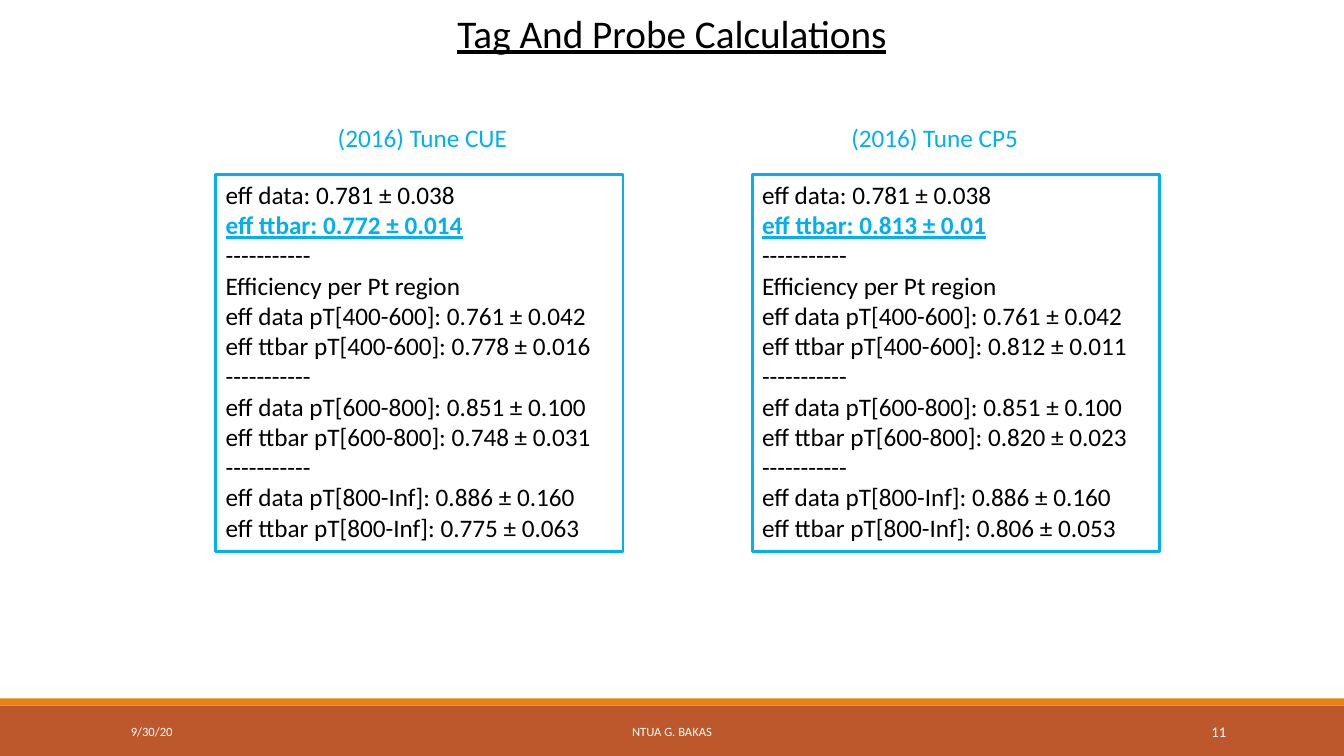
from dataclasses import dataclass

from pptx import Presentation
from pptx import util as u
from pptx.dml.color import RGBColor
from pptx.enum import shapes, text


@dataclass(frozen=True)
class Theme:
    font: str = "Calibri"
    ink: str = "000000"
    accent: str = "00B0F0"
    white: str = "FFFFFF"
    footer: str = "BD582C"
    stripe: str = "E48312"
    title_size: float = 28
    body_size: float = 18
    number_size: float = 10.5
    footer_size: float = 9


LEFT, CENTER, RIGHT = text.PP_ALIGN.LEFT, text.PP_ALIGN.CENTER, text.PP_ALIGN.RIGHT
TOP, MIDDLE = text.MSO_ANCHOR.TOP, text.MSO_ANCHOR.MIDDLE
DIVIDER = "-----------"


class Deck:
    def __init__(self, theme):
        self.theme = theme
        self.prs = Presentation()
        self.prs.slide_width = u.Inches(13.33)
        self.prs.slide_height = u.Inches(7.5)
        self.s = self.prs.slides.add_slide(self.prs.slide_layouts[6])

    def rect(self, box, fill=None, line=None):
        sp = self.s.shapes.add_shape(
            shapes.MSO_SHAPE.RECTANGLE, *[u.Inches(v) for v in box])
        sp.shadow.inherit = False
        if fill:
            sp.fill.solid()
            sp.fill.fore_color.rgb = RGBColor.from_string(fill)
        else:
            sp.fill.background()
        if line:
            sp.line.color.rgb = RGBColor.from_string(line)
            sp.line.width = u.Pt(2)
        else:
            sp.line.fill.background()
        return sp

    def run(self, p, content, size, color, bold=False, underline=False):
        r = p.add_run()
        r.text = content
        r.font.name = self.theme.font
        r.font.size = u.Pt(size)
        r.font.color.rgb = RGBColor.from_string(color)
        r.font.bold = bold
        r.font.underline = underline

    def label(self, box, content, size, color, align=CENTER, anchor=TOP, underline=False):
        tf = self.s.shapes.add_textbox(*[u.Inches(v) for v in box]).text_frame
        tf.word_wrap = True
        tf.vertical_anchor = anchor
        p = tf.paragraphs[0]
        p.alignment = align
        self.run(p, content, size, color, underline=underline)

    def panel(self, box, lines, highlight):
        t = self.theme
        tf = self.rect(box, line=t.accent).text_frame
        tf.word_wrap = True
        tf.vertical_anchor = TOP
        for i, line in enumerate(lines):
            p = tf.paragraphs[0] if i == 0 else tf.add_paragraph()
            p.alignment = LEFT
            marked = i == highlight
            self.run(p, line, t.body_size, t.accent if marked else t.ink, marked, marked)


def efficiency_lines(total, by_region):
    lines = ["eff data: 0.781 ± 0.038", f"eff ttbar: {total}",
             DIVIDER, "Efficiency per Pt region"]
    for i, (region, data) in enumerate(DATA_BY_REGION.items()):
        if i:
            lines.append(DIVIDER)
        lines += [f"eff data pT[{region}]: {data}",
                  f"eff ttbar pT[{region}]: {by_region[i]}"]
    return lines


DATA_BY_REGION = {
    "400-600": "0.761 ± 0.042",
    "600-800": "0.851 ± 0.100",
    "800-Inf": "0.886 ± 0.160",
}
TUNES = [
    ("(2016) Tune CUE", 2.53, 2.14, "0.772 ± 0.014",
     ["0.778 ± 0.016", "0.748 ± 0.031", "0.775 ± 0.063"]),
    ("(2016) Tune CP5", 7.61, 7.46, "0.813 ± 0.01",
     ["0.812 ± 0.011", "0.820 ± 0.023", "0.806 ± 0.053"]),
]


def main():
    t = Theme()
    deck = Deck(t)
    deck.rect((0, 7, 13.33, 0.5), fill=t.footer)
    deck.rect((0, 6.93, 13.33, 0.07), fill=t.stripe)
    deck.label((3.58, 0.04, 6.17, 0.57), "Tag And Probe Calculations",
               t.title_size, t.ink, underline=True)
    for heading, heading_left, panel_left, total, by_region in TUNES:
        deck.label((heading_left, 1.16, 3.32, 0.4), heading, t.body_size, t.accent)
        deck.panel((panel_left, 1.73, 4.04, 3.74),
                   efficiency_lines(total, by_region), highlight=1)
    for left, width, content, size, align in [
        (1.2, 2.7, "9/30/20", t.footer_size, LEFT),
        (4.03, 5.27, "NTUA G. BAKAS", t.footer_size, CENTER),
        (10.83, 1.43, "11", t.number_size, RIGHT),
    ]:
        deck.label((left, 7.06, width, 0.4), content, size, t.white, align, MIDDLE)
    deck.prs.save("out.pptx")


if __name__ == "__main__":
    main()
